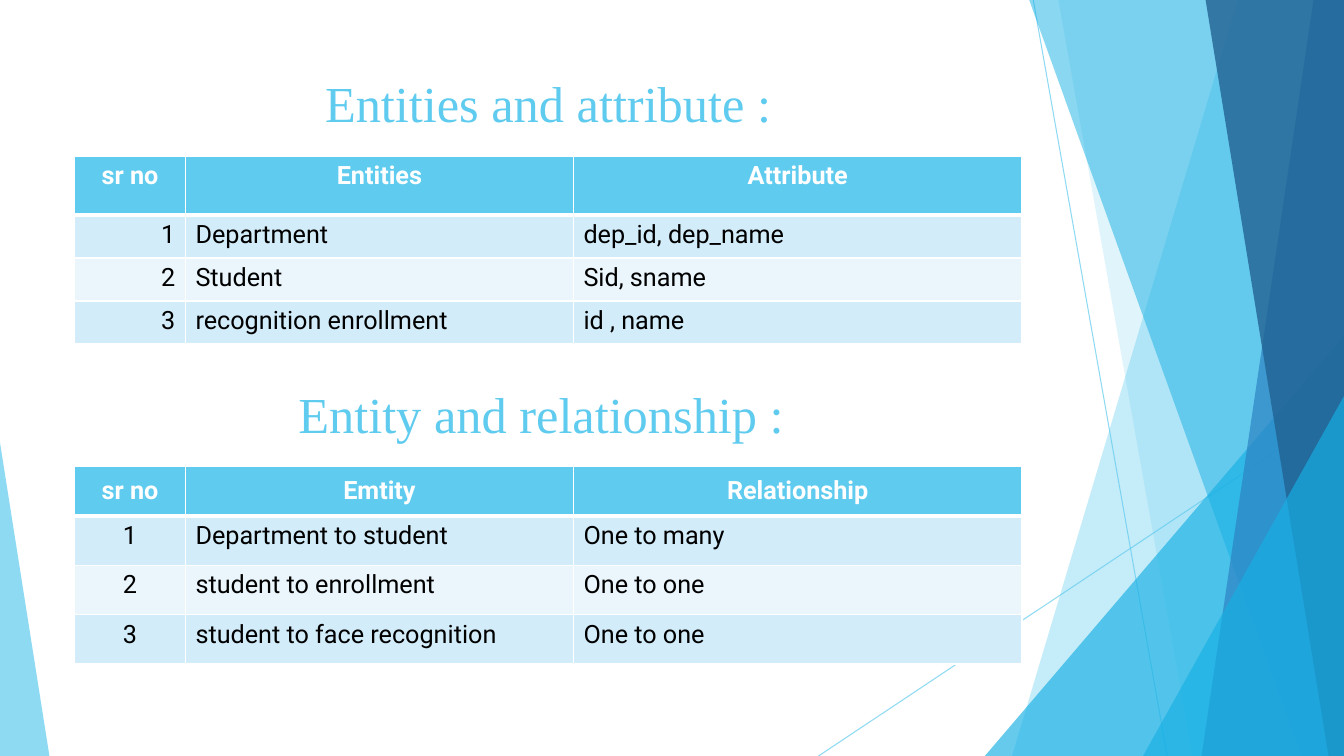
from dataclasses import dataclass

from lxml.etree import SubElement
from pptx import Presentation
from pptx.dml.color import RGBColor
from pptx.enum.shapes import MSO_CONNECTOR, MSO_SHAPE
from pptx.enum.text import MSO_ANCHOR as ANCHOR, PP_ALIGN as ALIGN
from pptx.oxml.ns import qn
from pptx.util import Inches, Pt


@dataclass(frozen=True)
class Theme:
    sky: str = "5FCBEF"
    cyan: str = "17B0E4"
    blue: str = "2E83C3"
    navy: str = "226292"
    white: str = "FFFFFF"
    black: str = "000000"
    bands: tuple = ("D2ECF9", "EAF6FC")
    heading_font: str = "Times New Roman"
    body_font: str = "Roboto"
    heading_size: int = 36
    body_size: int = 18


def rgb(color):
    return RGBColor.from_string(color)


def set_alpha(sp, percent):
    """Make the first plain colour of the shape partly transparent."""
    color = next(sp._element.iter(qn("a:srgbClr")))
    SubElement(color, qn("a:alpha"), val=str(percent * 1000))


def write(tf, text, *, font, size, color, bold=False, align=ALIGN.LEFT):
    p = tf.paragraphs[0]
    p.alignment = align
    r = p.add_run()
    r.text = text
    r.font.name = font
    r.font.size = Pt(size)
    r.font.bold = bold
    r.font.color.rgb = rgb(color)


def set_borders(cell, color, bottom):
    """Draw 1 pt borders, with the bottom one of the given width."""
    tc_pr = cell._tc.get_or_add_tcPr()
    for side, width in (("L", 1), ("R", 1), ("T", 1), ("B", bottom)):
        ln = SubElement(tc_pr, qn("a:ln" + side), w=str(Pt(width)))
        fill = SubElement(ln, qn("a:solidFill"))
        SubElement(fill, qn("a:srgbClr"), val=color)


class Board:
    """Places elements by percentages of the slide's width and height."""

    def __init__(self, prs, theme):
        self.prs, self.theme = prs, theme
        self.shapes = prs.slides.add_slide(prs.slide_layouts[6]).shapes

    def x(self, percent):
        return round(self.prs.slide_width * percent / 100)

    def y(self, percent):
        return round(self.prs.slide_height * percent / 100)

    def box(self, left, top, width, height):
        return self.x(left), self.y(top), self.x(width), self.y(height)

    def paint(self, sp, color, alpha):
        sp.shadow.inherit = False
        sp.fill.solid()
        sp.fill.fore_color.rgb = rgb(color)
        sp.line.fill.background()
        set_alpha(sp, alpha)

    def line(self, x1, y1, x2, y2):
        sp = self.shapes.add_connector(
            MSO_CONNECTOR.STRAIGHT, self.x(x1), self.y(y1), self.x(x2), self.y(y2))
        sp.line.width = Pt(0.75)
        sp.line.color.rgb = rgb(self.theme.sky)
        set_alpha(sp, 70)
        SubElement(sp._element.spPr, qn("a:effectLst"))

    def panel(self, top_x, bottom_x, color, alpha):
        """Fill from a slanted left edge to the right side of the slide."""
        fb = self.shapes.build_freeform(self.x(top_x), 0)
        fb.add_line_segments([(self.x(100), 0), (self.x(100), self.y(100)),
                              (self.x(bottom_x), self.y(100))], close=True)
        self.paint(fb.convert_to_shape(), color, alpha)

    def corner(self, left, top, width, apex, color, alpha):
        """Triangle standing on the bottom edge; apex 0 is left, 1 is right."""
        sp = self.shapes.add_shape(
            MSO_SHAPE.ISOSCELES_TRIANGLE, *self.box(left, top, width, 100 - top))
        sp.adjustments[0] = apex
        self.paint(sp, color, alpha)

    def heading(self, text, *box):
        tf = self.shapes.add_textbox(*self.box(*box)).text_frame
        tf.word_wrap = True
        write(tf, text, font=self.theme.heading_font, size=self.theme.heading_size,
              color=self.theme.sky, align=ALIGN.CENTER)

    def table(self, rows, top, heights, number_align, header_anchor):
        t = self.theme
        widths = (8.25, 28.87, 33.38)
        frame = self.shapes.add_table(
            len(rows), len(widths), *self.box(5.55, top, sum(widths), sum(heights)))
        table = frame.table
        for column, width in zip(table.columns, widths):
            column.width = self.x(width)
        for i, (row, height) in enumerate(zip(rows, heights)):
            table.rows[i].height = self.y(height)
            header = i == 0
            for j, text in enumerate(row):
                cell = table.cell(i, j)
                set_borders(cell, t.white, 3 if header else 1)
                cell.fill.solid()
                cell.fill.fore_color.rgb = rgb(t.sky if header else t.bands[(i - 1) % 2])
                cell.vertical_anchor = header_anchor if header else ANCHOR.TOP
                align = ALIGN.CENTER if header else ALIGN.LEFT if j else number_align
                write(cell.text_frame, text, font=t.body_font, size=t.body_size,
                      color=t.white if header else t.black, bold=header, align=align)


ENTITIES = [
    ("sr no", "Entities", "Attribute"),
    ("1", "Department", "dep_id, dep_name"),
    ("2", "Student", "Sid, sname"),
    ("3", "recognition enrollment", "id , name"),
]
RELATIONSHIPS = [
    ("sr no", "Emtity", "Relationship"),
    ("1", "Department to student", "One to many"),
    ("2", "student to enrollment", "One to one"),
    ("3", "student to face recognition", "One to one"),
]


def main():
    prs = Presentation()
    prs.slide_width, prs.slide_height = Inches(13.33), Inches(7.5)
    t = Theme()
    s = Board(prs, t)

    s.line(76.88, 0, 86.85, 100)
    s.line(100, 53.73, 60.9, 100)
    s.panel(92.1, 75.3, t.sky, 36)
    s.panel(78.75, 88.73, t.sky, 20)
    s.corner(73.28, 44.4, 26.72, 1, t.cyan, 66)
    s.panel(76.58, 96.83, t.cyan, 50)
    s.panel(97.73, 89.4, t.blue, 70)
    s.panel(89.7, 98.85, t.navy, 80)
    s.corner(85.05, 52.4, 14.95, 1, t.cyan, 66)
    s.corner(0, 58.53, 3.68, 0, t.sky, 70)

    s.heading("Entities and attribute :", 5.55, 8.93, 70.5, 9.33)
    s.table(ENTITIES, 20.67, [7.8] + [5.67] * 3, ALIGN.RIGHT, ANCHOR.TOP)
    s.heading("Entity and relationship :", 5.55, 50, 69.45, 9.47)
    s.table(RELATIONSHIPS, 61.73, [6.53] * 4, ALIGN.CENTER, ANCHOR.MIDDLE)

    prs.save("out.pptx")


if __name__ == "__main__":
    main()
